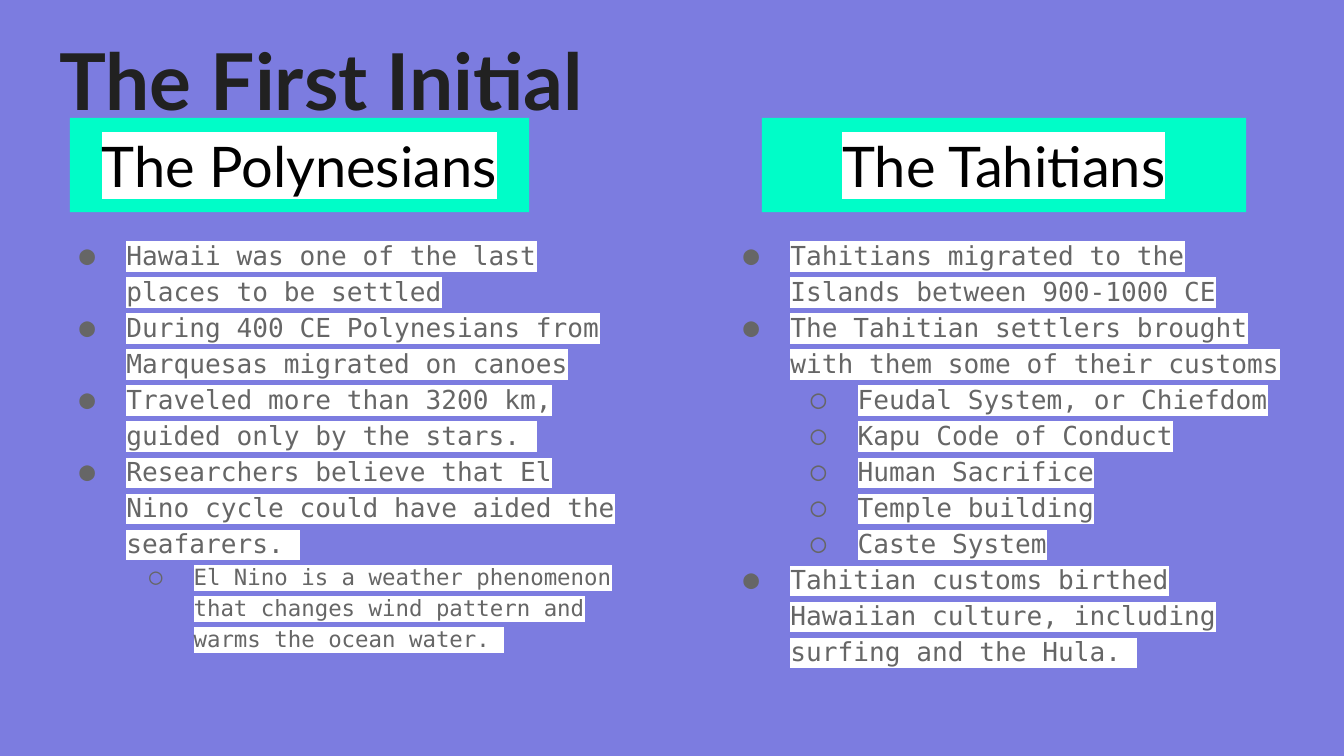
import lxml.etree
import pptx
import pptx.dml.color
import pptx.enum.shapes
import pptx.enum.text
import pptx.oxml.ns
import pptx.util

Cm = pptx.util.Cm
ALIGN = pptx.enum.text.PP_ALIGN
ANCHOR = pptx.enum.text.MSO_ANCHOR
COLORS = {
    "background": "7C7CE0",
    "title": "212121",
    "body": "666666",
    "heading": "000000",
    "banner": "00FDC8",
    "highlight": "FFFFFF",
}
BULLETS = ["●", "○"]


def rgb(name):
    return pptx.dml.color.RGBColor.from_string(COLORS[name])


def element(parent, tag, **attributes):
    return lxml.etree.SubElement(parent, pptx.oxml.ns.qn(tag), attributes)


def write(paragraph, text, *, size, font, color, bold=False, highlight=None, align=None):
    paragraph.alignment = align
    run = paragraph.add_run()
    run.text = text
    run.font.size = pptx.util.Pt(size)
    run.font.bold = bold
    run.font.color.rgb = rgb(color)
    if highlight:
        mark = element(run.font._element, "a:highlight")
        element(mark, "a:srgbClr", val=COLORS[highlight])
    run.font.name = font


class SlideBuilder:
    heading_font = "Lato"
    body_font = "DejaVu Sans Mono"
    inset = Cm(0.25)

    def __init__(self, slide):
        self.slide = slide
        slide.background.fill.solid()
        slide.background.fill.fore_color.rgb = rgb("background")

    def prepare(self, shape, anchor):
        frame = shape.text_frame
        frame.word_wrap = True
        frame.vertical_anchor = anchor
        frame.margin_left = frame.margin_right = self.inset
        frame.margin_top = frame.margin_bottom = self.inset
        return frame

    def text_box(self, left, top, width, height):
        box = self.slide.shapes.add_textbox(Cm(left), Cm(top), Cm(width), Cm(height))
        return self.prepare(box, ANCHOR.TOP)

    def title(self, text):
        frame = self.text_box(0.87, 0.36, 23.67, 2.24)
        write(frame.paragraphs[0], text, size=42, font=self.heading_font,
              color="title", bold=True)

    def heading(self, text, left, width):
        banner = self.slide.shapes.add_shape(
            pptx.enum.shapes.MSO_SHAPE.RECTANGLE, Cm(left), Cm(2.23), Cm(width), Cm(1.78))
        banner.shadow.inherit = False
        banner.fill.solid()
        banner.fill.fore_color.rgb = rgb("banner")
        banner.line.fill.background()
        frame = self.prepare(banner, ANCHOR.MIDDLE)
        write(frame.paragraphs[0], text, size=30, font=self.heading_font,
              color="heading", highlight="highlight", align=ALIGN.CENTER)

    def bullet(self, paragraph, level, size):
        paragraph.level = level
        paragraph.line_spacing = 1.15
        properties = paragraph._p.get_or_add_pPr()
        properties.set("marL", str(Cm(1.27 * (level + 1))))
        properties.set("indent", str(-Cm(0.89 if size == 14 else 0.84)))
        bullet_color = element(properties, "a:buClr")
        element(bullet_color, "a:srgbClr", val=COLORS["body"])
        element(properties, "a:buFont", typeface=self.body_font)
        element(properties, "a:buChar", char=BULLETS[level])

    def points(self, items, left):
        frame = self.text_box(left, 4.19, 11.1, 8.5)
        for index, (level, size, text) in enumerate(items):
            paragraph = frame.add_paragraph() if index else frame.paragraphs[0]
            self.bullet(paragraph, level, size)
            write(paragraph, text, size=size, font=self.body_font,
                  color="body", highlight="highlight")


POLYNESIANS = [
    (0, 14, "Hawaii was one of the last places to be settled"),
    (0, 14, "During 400 CE Polynesians from Marquesas migrated on canoes"),
    (0, 14, "Traveled more than 3200 km, guided only by the stars. "),
    (0, 14, "Researchers believe that El Nino cycle could have aided the seafarers. "),
    (1, 12, "El Nino is a weather phenomenon that changes wind pattern and "
            "warms the ocean water. "),
]
TAHITIANS = [
    (0, 14, "Tahitians migrated to the Islands between 900-1000 CE"),
    (0, 14, "The Tahitian settlers brought with them some of their customs"),
    (1, 14, "Feudal System, or Chiefdom"),
    (1, 14, "Kapu Code of Conduct"),
    (1, 14, "Human Sacrifice"),
    (1, 14, "Temple building"),
    (1, 14, "Caste System"),
    (0, 14, "Tahitian customs birthed Hawaiian culture, including surfing and the Hula. "),
]


def main():
    presentation = pptx.Presentation()
    presentation.slide_width = Cm(25.4)
    presentation.slide_height = Cm(14.29)
    builder = SlideBuilder(presentation.slides.add_slide(presentation.slide_layouts[6]))
    builder.title("The First Initial")
    builder.points(POLYNESIANS, left=0.87)
    builder.points(TAHITIANS, left=13.42)
    builder.heading("The Polynesians", left=1.32, width=8.68)
    builder.heading("The Tahitians", left=14.4, width=9.15)
    presentation.save("out.pptx")


if __name__ == "__main__":
    main()
